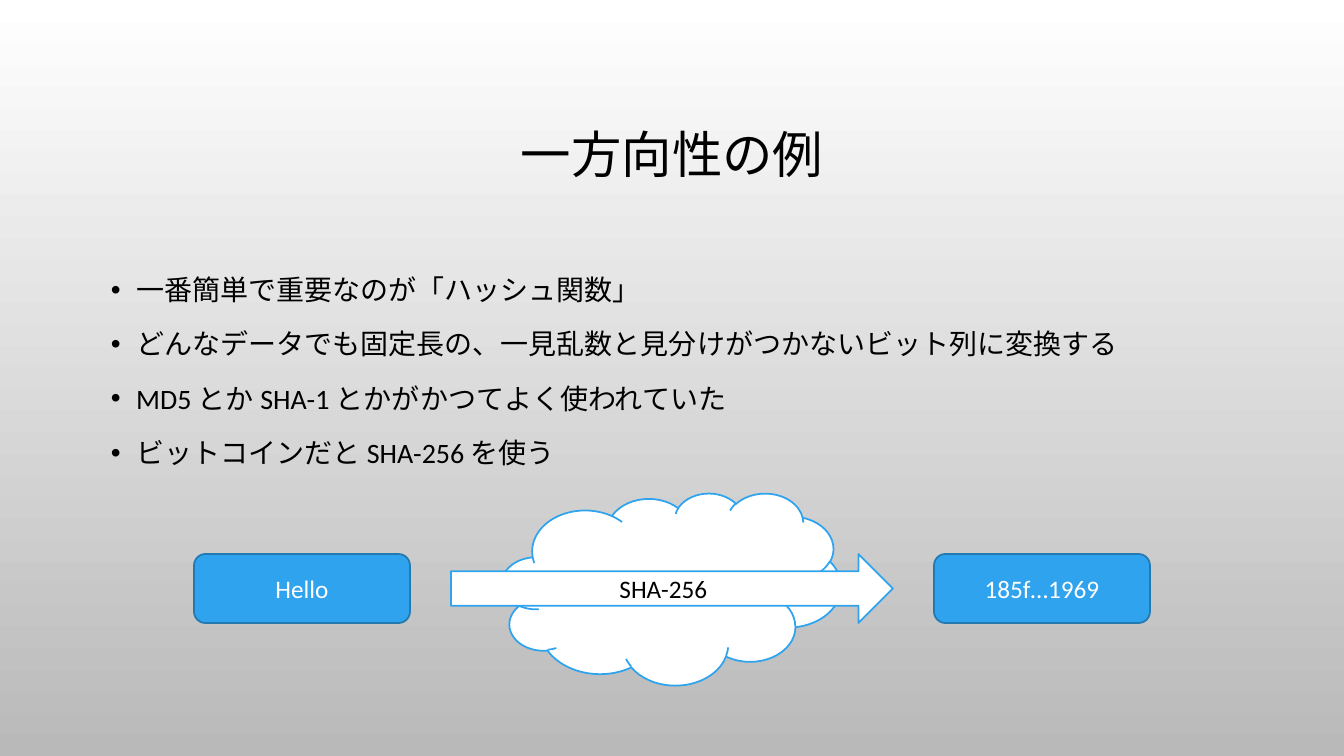
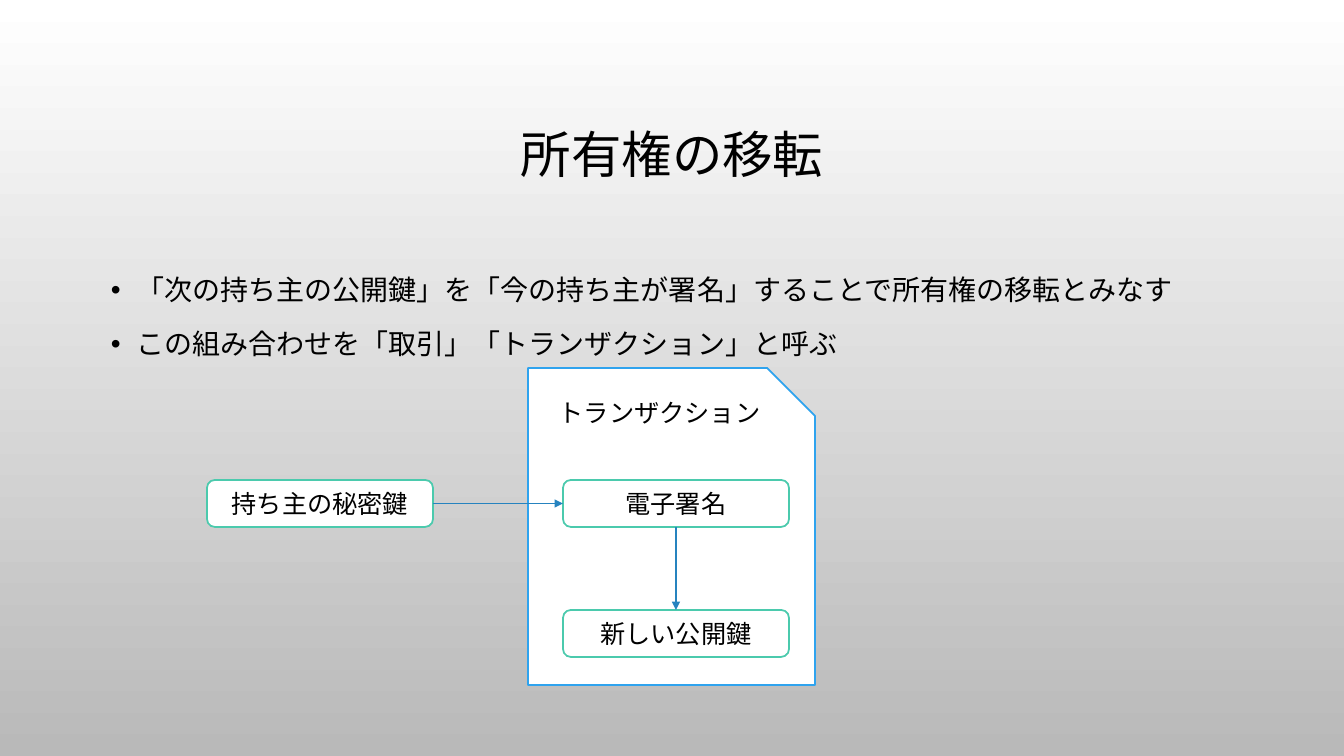
from dataclasses import dataclass

from lxml.etree import SubElement
from pptx import Presentation
from pptx.dml.color import RGBColor
from pptx.enum.lang import MSO_LANGUAGE_ID
from pptx.enum.shapes import MSO_CONNECTOR, MSO_SHAPE
from pptx.enum.text import MSO_ANCHOR, PP_ALIGN
from pptx.oxml.ns import qn
from pptx.util import Emu, Pt

SCALE = 914400 / 100.8  # EMU in one px


@dataclass(frozen=True)
class Theme:
    font: str = "Calibri"
    ink: str = "000000"
    white: str = "FFFFFF"
    shade: str = "B9B9B9"
    blue: str = "2FA3EE"
    edge: str = "2379B0"
    green: str = "4BCAAD"
    wire: str = "2683BF"
    title: int = 36
    body: int = 20
    label: int = 18
    border: float = 1.25
    thin: float = 0.75


THEME = Theme()
WIDTH, HEIGHT = 1344, 756
TITLE = (101, 69, 1142, 176)
BODY = (101, 261, 1142, 377)


def px(n):
    return Emu(round(n * SCALE))


def rgb(code):
    return RGBColor.from_string(code)


def write(para, text, size, color=THEME.ink):
    run = para.add_run()
    run.text = text
    font = run.font
    font.name, font.size = THEME.font, Pt(size)
    font.color.rgb = rgb(color)
    font.language_id = MSO_LANGUAGE_ID.JAPANESE


def bullet(para):
    """Give the paragraph a hanging dot."""
    props = para._p.get_or_add_pPr()
    props.set("marL", "228600")
    props.set("indent", "-228600")
    tint = SubElement(props, qn("a:buClr"))
    SubElement(tint, qn("a:srgbClr")).set("val", THEME.ink)
    SubElement(props, qn("a:buFont")).set("typeface", "Arial")
    SubElement(props, qn("a:buChar")).set("char", "•")


def frame(slide, box):
    """Add a wrapping text box and return its text frame."""
    area = slide.shapes.add_textbox(*map(px, box)).text_frame
    area.word_wrap = True
    return area


def head(slide, box, text):
    area = frame(slide, box)
    area.vertical_anchor = MSO_ANCHOR.MIDDLE
    para = area.paragraphs[0]
    para.alignment = PP_ALIGN.CENTER
    para.line_spacing = 0.9
    write(para, text, THEME.title)


def points(slide, box, lines):
    area = frame(slide, box)
    for i, line in enumerate(lines):
        para = area.add_paragraph() if i else area.paragraphs[0]
        para.line_spacing = 1.2
        para.space_before = Pt(10 if i else 0)
        bullet(para)
        write(para, line, THEME.body)


def base(deck, title, lines):
    """Start a slide with the shared ground, title and bullets."""
    slide = deck.slides.add_slide(deck.slide_layouts[6])
    fill = slide.background.fill
    fill.gradient()
    fill.gradient_angle = 270
    for stop, color in zip(fill.gradient_stops, (THEME.white, THEME.shade)):
        stop.color.rgb = rgb(color)
    head(slide, TITLE, title)
    points(slide, BODY, lines)
    return slide


def block(slide, kind, box, text="", fill=THEME.white, line=THEME.blue,
          ink=THEME.ink, anchor=MSO_ANCHOR.MIDDLE):
    """Add a bordered shape with a centred label."""
    shape = slide.shapes.add_shape(kind, *map(px, box))
    shape.shadow.inherit = False
    shape.fill.solid()
    shape.fill.fore_color.rgb = rgb(fill)
    shape.line.color.rgb = rgb(line)
    shape.line.width = Pt(THEME.border)
    if text:
        area = shape.text_frame
        area.word_wrap = True
        area.vertical_anchor = anchor
        para = area.paragraphs[0]
        para.alignment = PP_ALIGN.CENTER
        write(para, text, THEME.label, ink)
    return shape


def arrow(slide, start, out, end, into):
    """Join two shapes at the given connection sites."""
    link = slide.shapes.add_connector(MSO_CONNECTOR.STRAIGHT, 0, 0, 0, 0)
    link.begin_connect(start, out)
    link.end_connect(end, into)
    link.line.color.rgb = rgb(THEME.wire)
    link.line.width = Pt(THEME.thin)
    SubElement(link.line._ln, qn("a:tailEnd")).set("type", "triangle")
    SubElement(link._element.spPr, qn("a:effectLst"))


def hash_flow(slide, box):
    """Draw input, hash arrow over a cloud, and output."""
    x, y, w, h = box
    side, tall, gap = 216, 69, 41
    top = y + (h - tall) // 2
    cloud = 339
    block(slide, MSO_SHAPE.CLOUD, (x + (w - cloud) // 2, y, cloud, h))
    for left, text in ((x, "Hello"), (x + w - side, "185f…1969")):
        block(slide, MSO_SHAPE.ROUNDED_RECTANGLE, (left, top, side, tall),
              text, THEME.blue, THEME.edge, THEME.white)
    inset = side + gap
    block(slide, MSO_SHAPE.RIGHT_ARROW,
          (x + inset, top, w - 2 * inset, tall), "SHA-256")


def transfer(slide, box):
    """Draw the private key signing a transaction sheet."""
    x, y, w, h = box
    sheet, wide, tall = 287, 226, 47
    left = x + w - sheet
    block(slide, MSO_SHAPE.SNIP_1_RECTANGLE, (left, y, sheet, h),
          "トランザクション", anchor=MSO_ANCHOR.TOP)

    def card(at, drop, text):
        return block(slide, MSO_SHAPE.ROUNDED_RECTANGLE,
                     (at, y + drop, wide, tall), text, line=THEME.green)

    new = card(left + 35, 242, "新しい公開鍵")
    sign = card(left + 35, 112, "電子署名")
    owner = card(x, 112, "持ち主の秘密鍵")
    arrow(slide, sign, 2, new, 0)
    arrow(slide, owner, 3, sign, 1)


def main():
    deck = Presentation()
    deck.slide_width, deck.slide_height = px(WIDTH), px(HEIGHT)
    slide = base(deck, "一方向性の例", (
        "一番簡単で重要なのが「ハッシュ関数」",
        "どんなデータでも固定長の、一見乱数と見分けがつかないビット列に変換する",
        "MD5 とか SHA-1 とかがかつてよく使われていた",
        "ビットコインだと SHA-256 を使う",
    ))
    hash_flow(slide, (194, 493, 956, 192))
    slide = base(deck, "所有権の移転", (
        "「次の持ち主の公開鍵」を「今の持ち主が署名」することで所有権の移転とみなす",
        "この組み合わせを「取引」「トランザクション」と呼ぶ",
    ))
    transfer(slide, (207, 368, 608, 317))
    deck.save("out.pptx")


if __name__ == "__main__":
    main()
